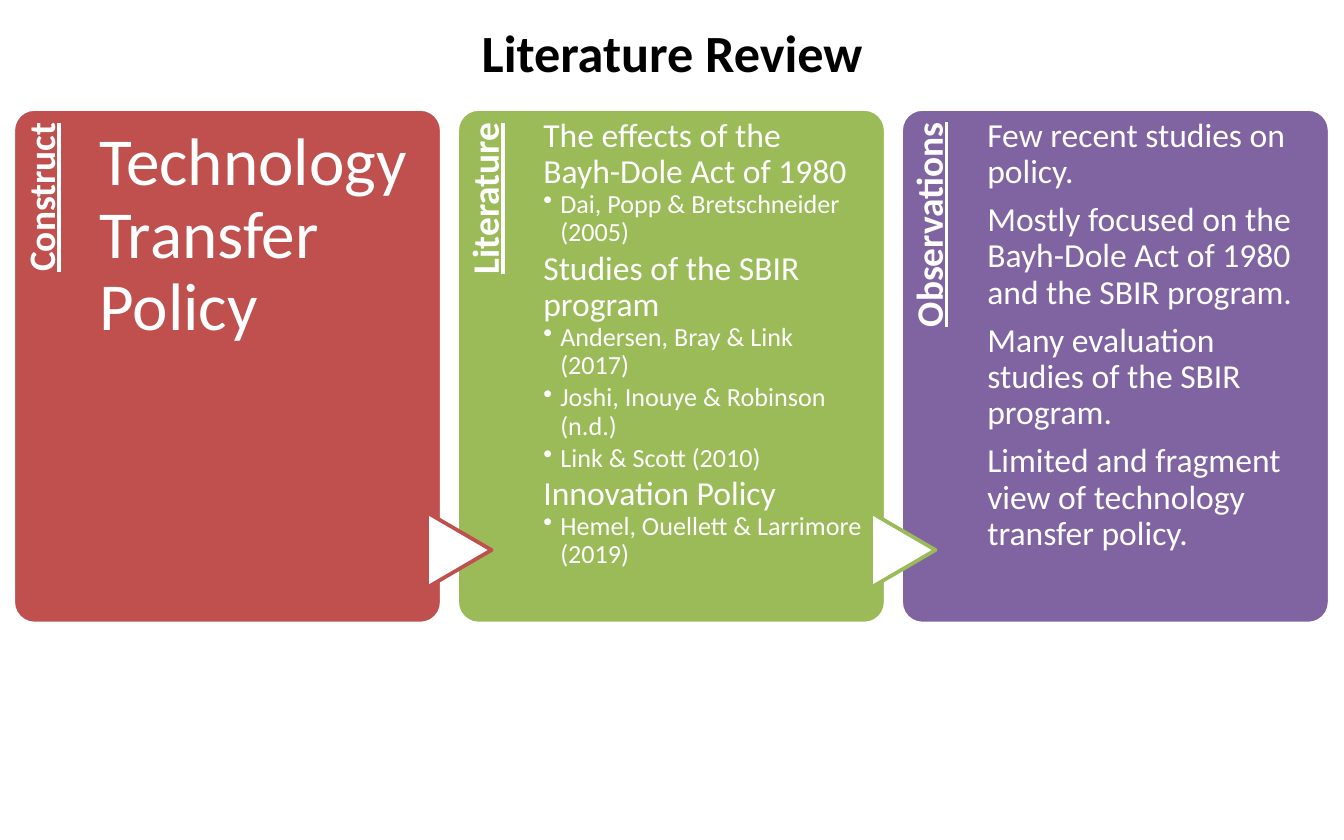
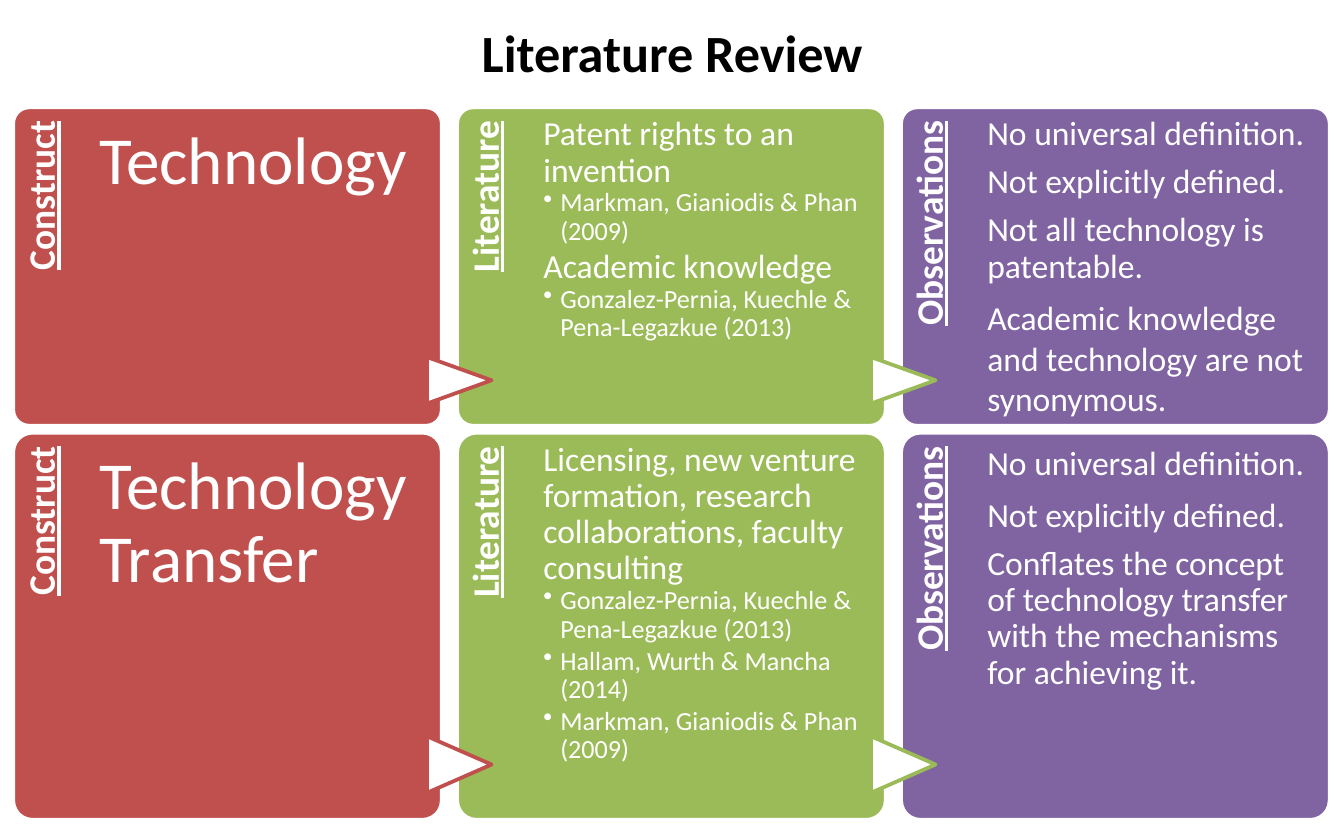
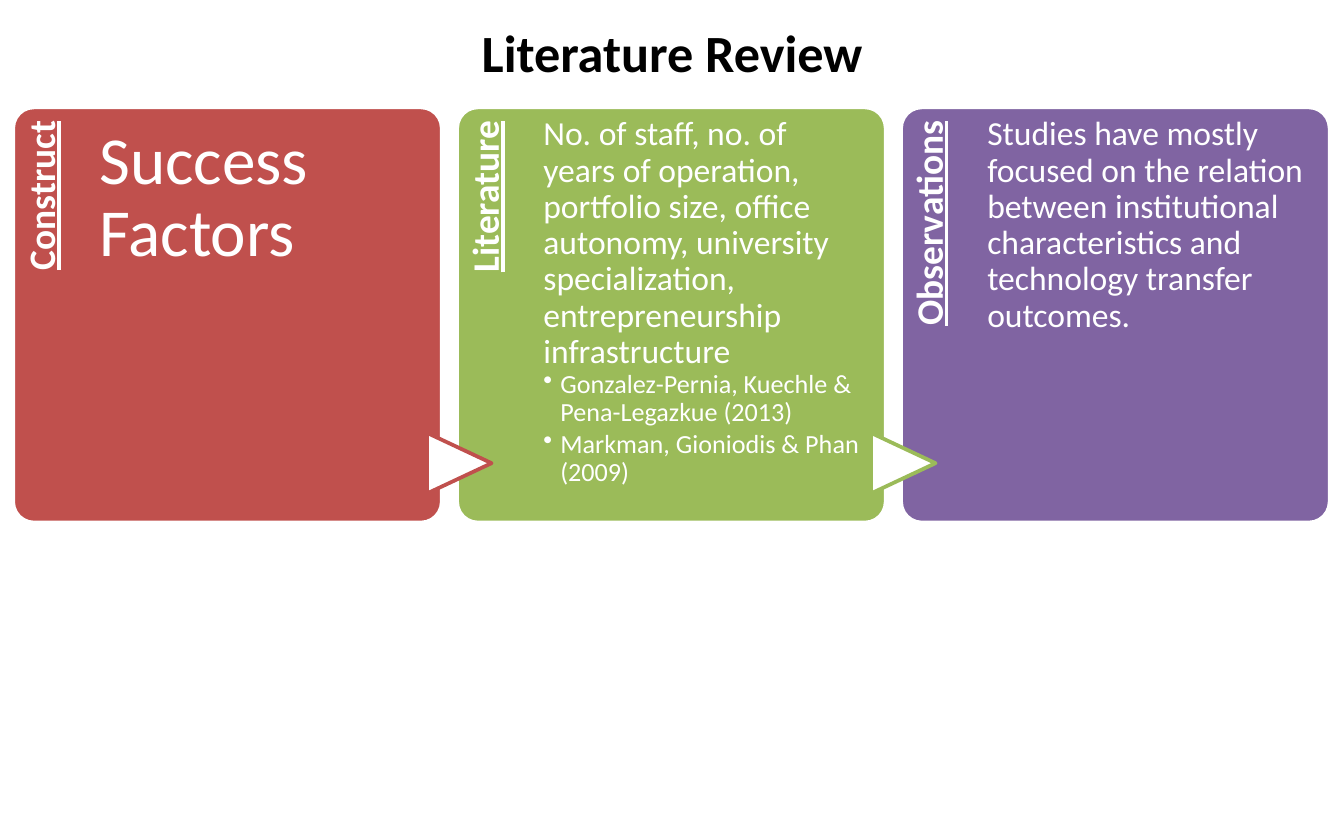
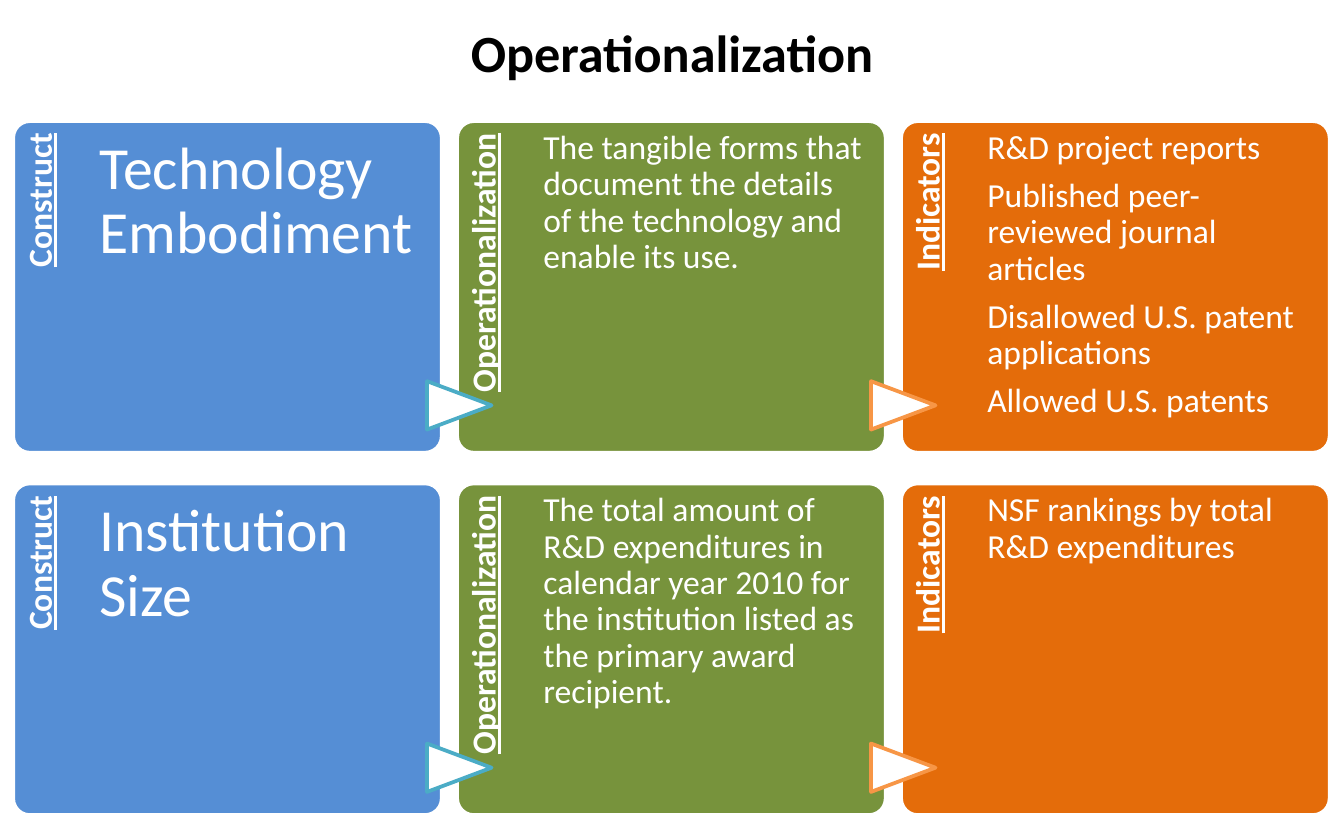
from dataclasses import dataclass

from lxml import etree
from pptx import Presentation
from pptx.dml.color import RGBColor
from pptx.enum import shapes, text
from pptx.oxml import ns
from pptx.util import Cm, Pt


@dataclass(frozen=True)
class Theme:
    font: str = "Calibri"
    black: str = "000000"
    white: str = "FFFFFF"
    title_size: int = 28
    body_size: int = 18
    citation_size: int = 14
    line_width: float = 2
    tight: float = 0.9


@dataclass(frozen=True)
class Scheme:
    """Headings, colours and type sizes of one kind of three-card row."""
    headings: tuple
    fills: tuple
    arrow_lines: tuple
    heading_size: int
    construct_size: int


@dataclass(frozen=True)
class Para:
    text: str
    size: int
    after: float = 0
    spacing: float = 0.9
    bullet: bool = False


THEME = Theme()
REVIEW = Scheme(("Construct", "Literature", "Observations"),
                ("C0504D", "9BBB59", "8064A2"), ("C0504D", "9BBB59"), 20, 36)
OPERATIONS = Scheme(("Construct", "Operationalization", "Indicators"),
                    ("558ED5", "77933C", "E46C0A"), ("4BACC6", "F79646"), 18, 32)

SLIDE_WIDTH, SLIDE_HEIGHT = 25.4, 15.88
CARD_LEFT, CARD_WIDTH, CARD_PITCH = 0.25, 8.1, 8.39
CONTENT_OFFSET, CONTENT_WIDTH = 1.63, 6.05
HEADING_DEPTH = 1.63
ARROW_LENGTH = 1.22
BULLET_INDENT = 0.32


def point(words, spacing=THEME.tight):
    return Para(words, THEME.body_size, 0.35 * THEME.body_size, spacing)


def topic(words):
    return Para(words, THEME.body_size)


def citation(words):
    size = THEME.citation_size
    return Para(words, size, 0.15 * size, bullet=True)


def add_run(paragraph, words, size, color, bold=False, underline=None):
    run = paragraph.add_run()
    run.text = words
    font = run.font
    font.name, font.size = THEME.font, Pt(size)
    font.bold, font.underline = bold, underline
    font.color.rgb = RGBColor.from_string(color)


def add_frame(parent, left, top, width, height, insets):
    """Add a wrapping text box; insets are left, top, right, bottom."""
    box = parent.shapes.add_textbox(Cm(left), Cm(top), Cm(width), Cm(height))
    frame = box.text_frame
    frame.word_wrap = True
    (frame.margin_left, frame.margin_top,
     frame.margin_right, frame.margin_bottom) = insets
    return box


def add_filled(parent, preset, left, top, width, height, fill, line):
    shape = parent.shapes.add_shape(preset, Cm(left), Cm(top), Cm(width), Cm(height))
    shape.shadow.inherit = False
    shape.fill.solid()
    shape.fill.fore_color.rgb = RGBColor.from_string(fill)
    shape.line.color.rgb = RGBColor.from_string(line)
    shape.line.width = Pt(THEME.line_width)
    return shape


def add_title(slide, words):
    title = add_frame(slide, 0, 0.25, SLIDE_WIDTH, 1.45,
                      (Cm(0.25), Cm(0.13), Cm(0.25), Cm(0.13)))
    title.text_frame.auto_size = text.MSO_AUTO_SIZE.SHAPE_TO_FIT_TEXT
    paragraph = title.text_frame.paragraphs[0]
    paragraph.alignment = text.PP_ALIGN.CENTER
    add_run(paragraph, words, THEME.title_size, THEME.black, bold=True)


def add_heading(row, words, size, left, top, height):
    """Add the heading that reads upwards along a card's left edge."""
    length = 0.82 * height
    shift = (length - HEADING_DEPTH) / 2
    heading = add_frame(row, left - shift, top + shift, length, HEADING_DEPTH,
                        (0, Cm(0.18), Pt(0.36 * size), 0))
    heading.rotation = 270
    paragraph = heading.text_frame.paragraphs[0]
    paragraph.alignment = text.PP_ALIGN.RIGHT
    paragraph.line_spacing = THEME.tight
    paragraph.space_after = Pt(0.35 * size)
    add_run(paragraph, words, size, THEME.white, bold=True, underline=True)


def add_arrow(row, card_left, top, height, line):
    """Add the triangle that points from the previous card into this one."""
    base = 0.146 * height
    center_x, center_y = card_left + 0.04, top + 0.857 * height
    arrow = add_filled(row, shapes.MSO_SHAPE.FLOWCHART_EXTRACT,
                       center_x - base / 2, center_y - ARROW_LENGTH / 2,
                       base, ARROW_LENGTH, THEME.white, line)
    arrow.rotation = 90


def set_bullet(paragraph):
    paragraph.level = 1
    properties = paragraph._p.get_or_add_pPr()
    properties.set("marL", str(Cm(BULLET_INDENT)))
    properties.set("indent", str(-Cm(BULLET_INDENT)))
    etree.SubElement(properties, ns.qn("a:buChar")).set("char", "•")


def add_content(row, left, top, height, paras):
    content = add_frame(row, left + CONTENT_OFFSET, top, CONTENT_WIDTH, height,
                        (0, Pt(0.28 * paras[0].size), 0, 0))
    frame = content.text_frame
    for index, para in enumerate(paras):
        paragraph = frame.add_paragraph() if index else frame.paragraphs[0]
        if para.bullet:
            set_bullet(paragraph)
        paragraph.line_spacing = para.spacing
        paragraph.space_after = Pt(para.after)
        add_run(paragraph, para.text, para.size, THEME.white)


def add_row(slide, scheme, top, height, construct, *columns):
    """Add a group of three linked cards: the construct, then two columns."""
    row = slide.shapes.add_group_shape()
    size = scheme.construct_size
    contents = ([Para(construct, size, 0.35 * size)], *columns)
    for index, paras in enumerate(contents):
        left = CARD_LEFT + index * CARD_PITCH
        card = add_filled(row, shapes.MSO_SHAPE.ROUNDED_RECTANGLE, left, top,
                          CARD_WIDTH, height, scheme.fills[index], THEME.white)
        card.adjustments[0] = 0.05
        add_heading(row, scheme.headings[index], scheme.heading_size,
                    left, top, height)
        if index:
            add_arrow(row, left, top, height, scheme.arrow_lines[index - 1])
        add_content(row, left, top, height, paras)


def add_slide(deck, title):
    slide = deck.slides.add_slide(deck.slide_layouts[6])
    add_title(slide, title)
    return slide


def add_policy_slide(deck):
    slide = add_slide(deck, "Literature Review")
    add_row(slide, REVIEW, 2.06, 9.73, "Technology Transfer Policy", [
        topic("The effects of the Bayh-Dole Act of 1980"),
        citation("Dai, Popp & Bretschneider (2005)"),
        topic("Studies of the SBIR program"),
        citation("Andersen, Bray & Link (2017)"),
        citation("Joshi, Inouye & Robinson (n.d.)"),
        citation("Link & Scott (2010)"),
        topic("Innovation Policy"),
        citation("Hemel, Ouellett & Larrimore (2019)"),
    ], [
        point("Few recent studies on policy."),
        point("Mostly focused on the Bayh-Dole Act of 1980 and the SBIR program."),
        point("Many evaluation studies of the SBIR program."),
        point("Limited and fragment view of technology transfer policy."),
    ])


def add_technology_slide(deck):
    slide = add_slide(deck, "Literature Review")
    add_row(slide, REVIEW, 2.03, 6.02, "Technology", [
        topic("Patent rights to an invention"),
        citation("Markman, Gianiodis & Phan (2009)"),
        topic("Academic knowledge"),
        citation("Gonzalez-Pernia, Kuechle & Pena-Legazkue (2013)"),
    ], [
        point("No universal definition."),
        point("Not explicitly defined."),
        point("Not all technology is patentable."),
        point("Academic knowledge and technology are not synonymous.", spacing=1.0),
    ])
    add_row(slide, REVIEW, 8.18, 7.32, "Technology Transfer", [
        topic("Licensing, new venture formation, research collaborations, "
              "faculty consulting"),
        citation("Gonzalez-Pernia, Kuechle & Pena-Legazkue (2013)"),
        citation("Hallam, Wurth & Mancha (2014)"),
        citation("Markman, Gianiodis & Phan (2009)"),
    ], [
        point("No universal definition.", spacing=1.0),
        point("Not explicitly defined.", spacing=1.0),
        point("Conflates the concept of technology transfer with the mechanisms "
              "for achieving it."),
    ])


def add_success_slide(deck):
    slide = add_slide(deck, "Literature Review")
    add_row(slide, REVIEW, 2.03, 7.85, "Success Factors", [
        topic("No. of staff, no. of years of operation, portfolio size, office "
              "autonomy, university specialization, entrepreneurship "
              "infrastructure"),
        citation("Gonzalez-Pernia, Kuechle & Pena-Legazkue (2013)"),
        citation("Markman, Gioniodis & Phan (2009)"),
    ], [
        point("Studies have mostly focused on the relation between institutional "
              "characteristics and technology transfer outcomes."),
    ])


def add_operationalization_slide(deck):
    slide = add_slide(deck, "Operationalization")
    add_row(slide, OPERATIONS, 2.29, 6.27, "Technology Embodiment", [
        point("The tangible forms that document the details of the technology "
              "and enable its use."),
    ], [
        point("R&D project reports"),
        point("Published peer-reviewed journal articles"),
        point("Disallowed U.S. patent applications"),
        point("Allowed U.S. patents"),
    ])
    add_row(slide, OPERATIONS, 9.14, 6.27, "Institution Size", [
        point("The total amount of R&D expenditures in calendar year 2010 for "
              "the institution listed as the primary award recipient."),
    ], [
        point("NSF rankings by total R&D expenditures"),
    ])


def main():
    deck = Presentation()
    deck.slide_width, deck.slide_height = Cm(SLIDE_WIDTH), Cm(SLIDE_HEIGHT)
    add_policy_slide(deck)
    add_technology_slide(deck)
    add_success_slide(deck)
    add_operationalization_slide(deck)
    deck.save("out.pptx")


if __name__ == "__main__":
    main()
